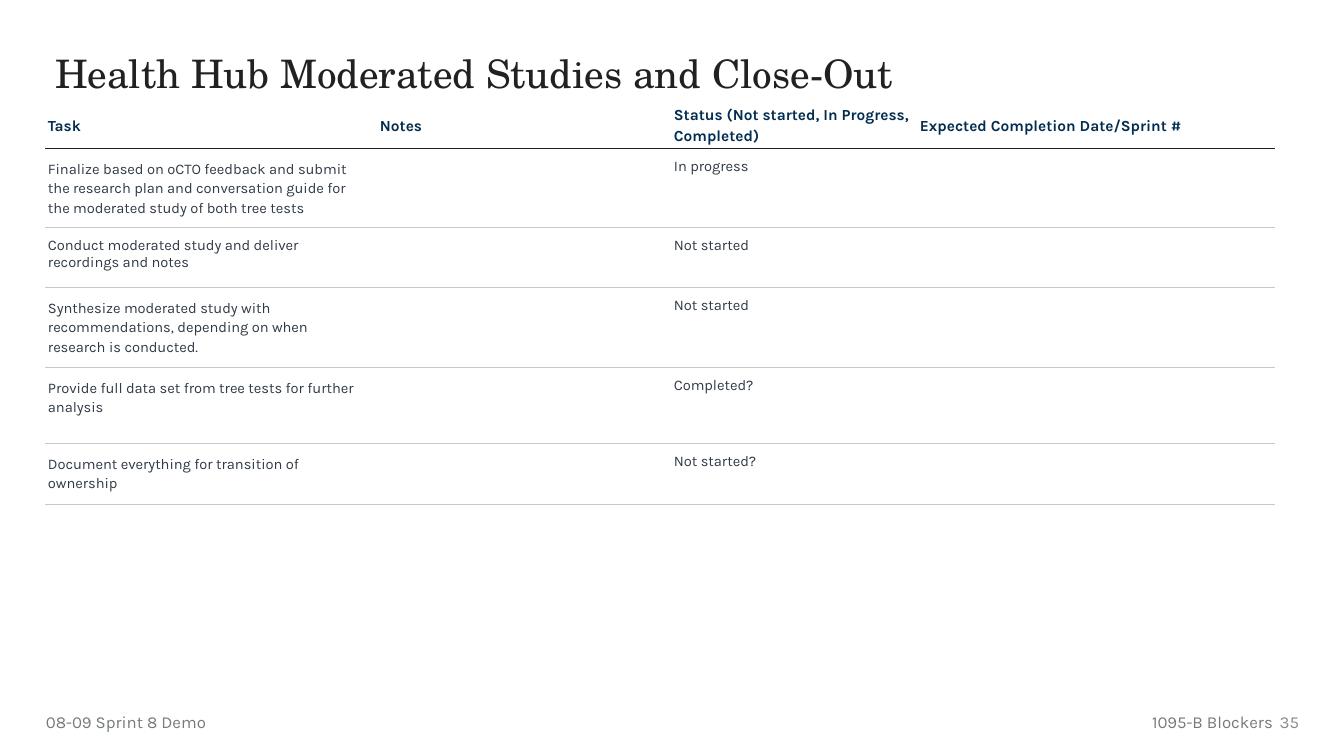
import dataclasses
import typing

import pptx
import pptx.dml.color
import pptx.enum.text
import pptx.oxml
import pptx.oxml.ns
import pptx.util

Align = pptx.enum.text.PP_ALIGN
Anchor = pptx.enum.text.MSO_ANCHOR
SCALE = 914400 / 100.8
PLAIN = "{2D5ABB26-0587-4C30-8999-92F81FD0307C}"


@dataclasses.dataclass(frozen=True)
class Face:
    font: str
    size: float
    color: str
    bold: bool = False


@dataclasses.dataclass(frozen=True)
class Theme:
    title: Face = Face("TeX Gyre Schola", 28, "202120")
    head: Face = Face("Karla", 11, "022D50", True)
    body: Face = Face("Karla", 10.5, "303A46")
    foot: Face = Face("Karla", 12, "747C74")
    page: Face = Face("Karla", 12, "8A8A8A")
    dark: str = "202120"
    light: str = "C7C7C7"


@dataclasses.dataclass(frozen=True)
class Task:
    text: str
    status: str
    height: int
    lead: float = 1.15


@dataclasses.dataclass(frozen=True)
class Label:
    text: str
    box: tuple[int, int, int, int]
    face: Face
    align: Align
    left: int = 10
    anchor: Anchor = Anchor.TOP


THEME = Theme()
HEADS = [("Task", 332), ("Notes", 294),
         ("Status (Not started, In Progress, Completed)", 246),
         ("Expected Completion Date/Sprint #", 358)]
TASKS = [
    Task("Finalize based on oCTO feedback and submit the research plan and "
         "conversation guide for the moderated study of both tree tests", "In progress", 79),
    Task("Conduct moderated study and deliver recordings and notes", "Not started", 60, 1),
    Task("Synthesize moderated study with recommendations, depending on when "
         "research is conducted.", "Not started", 80),
    Task("Provide full data set from tree tests for further analysis", "Completed?", 76),
    Task("Document everything for transition of ownership", "Not started?", 61),
]
LABELS = [
    Label("35", (1265, 702, 44, 40), THEME.page, Align.RIGHT, anchor=Anchor.MIDDLE),
    Label("1095-B Blockers", (1118, 707, 165, 30), THEME.foot, Align.RIGHT),
    Label("08-09 Sprint 8 Demo", (46, 707, 300, 30), THEME.foot, Align.LEFT, left=0),
]


def px(count: int) -> int:
    return round(count * SCALE)


def write(frame: typing.Any, text: str, face: Face, align: Align = Align.LEFT,
          lead: float = 1) -> None:
    frame.text = text
    line = frame.paragraphs[0]
    line.alignment = align
    line.line_spacing = lead
    for run in line.runs:
        run.font.name = face.font
        run.font.size = pptx.util.Pt(face.size)
        run.font.bold = face.bold
        run.font.color.rgb = pptx.dml.color.RGBColor.from_string(face.color)


def inset(item: typing.Any, sides: tuple[int, int, int, int]) -> None:
    """Set left, top, right and bottom margins of a cell or text frame."""
    (item.margin_left, item.margin_top,
     item.margin_right, item.margin_bottom) = map(px, sides)


def edge(cell: typing.Any, side: str, color: str | None) -> None:
    """Draw one cell border, or hide it when there is no color."""
    fill = (f'<a:solidFill><a:srgbClr val="{color}"/></a:solidFill>'
            if color else "<a:noFill/>")
    space = pptx.oxml.ns.nsdecls("a")
    cell._tc.get_or_add_tcPr().append(pptx.oxml.parse_xml(
        f'<a:ln{side} {space} w="12700">{fill}</a:ln{side}>'))


def style(cell: typing.Any, top: str | None, base: str) -> None:
    for side, color in (("L", None), ("R", None), ("T", top), ("B", base)):
        edge(cell, side, color)
    cell.fill.background()


def add_title(slide: typing.Any) -> None:
    title = slide.shapes.title
    title.left, title.top, title.width, title.height = map(px, (45, 50, 888, 146))
    frame = title.text_frame
    frame.auto_size = pptx.enum.text.MSO_AUTO_SIZE.NONE
    frame.vertical_anchor = Anchor.TOP
    inset(frame, (10, 5, 10, 5))
    write(frame, "Health Hub Moderated Studies and Close-Out", THEME.title, lead=0.9)


def add_tasks(slide: typing.Any) -> None:
    highs = [46] + [task.height for task in TASKS]
    wide = sum(width for _, width in HEADS)
    table = slide.shapes.add_table(len(highs), len(HEADS), px(45), px(101),
                                   px(wide), px(sum(highs))).table
    table.first_row = table.horz_banding = False
    table._tbl.tblPr.find(pptx.oxml.ns.qn("a:tableStyleId")).text = PLAIN
    for row, high in zip(table.rows, highs):
        row.height = px(high)
    for col, (text, width) in enumerate(HEADS):
        table.columns[col].width = px(width)
        cell = table.cell(0, col)
        style(cell, None, THEME.dark)
        cell.vertical_anchor = Anchor.MIDDLE
        inset(cell, (3, 3, 3, 3))
        write(cell.text_frame, text, THEME.head, lead=1.15)
    for row, task in enumerate(TASKS, 1):
        for col in range(len(HEADS)):
            style(table.cell(row, col), THEME.dark if row == 1 else THEME.light,
                  THEME.light)
        for col, text, lead in ((0, task.text, task.lead), (2, task.status, 1)):
            cell = table.cell(row, col)
            inset(cell, (3, 10, 20, 10))
            write(cell.text_frame, text, THEME.body, lead=lead)


def add_label(slide: typing.Any, label: Label) -> None:
    frame = slide.shapes.add_textbox(*map(px, label.box)).text_frame
    frame.word_wrap = True
    frame.vertical_anchor = label.anchor
    inset(frame, (label.left, 5, 10, 5))
    write(frame, label.text, label.face, label.align)


def main() -> None:
    deck = pptx.Presentation()
    deck.slide_width, deck.slide_height = px(1344), px(756)
    slide = deck.slides.add_slide(deck.slide_layouts.get_by_name("Title Only"))
    add_title(slide)
    add_tasks(slide)
    for label in LABELS:
        add_label(slide, label)
    deck.save("out.pptx")


if __name__ == "__main__":
    main()
